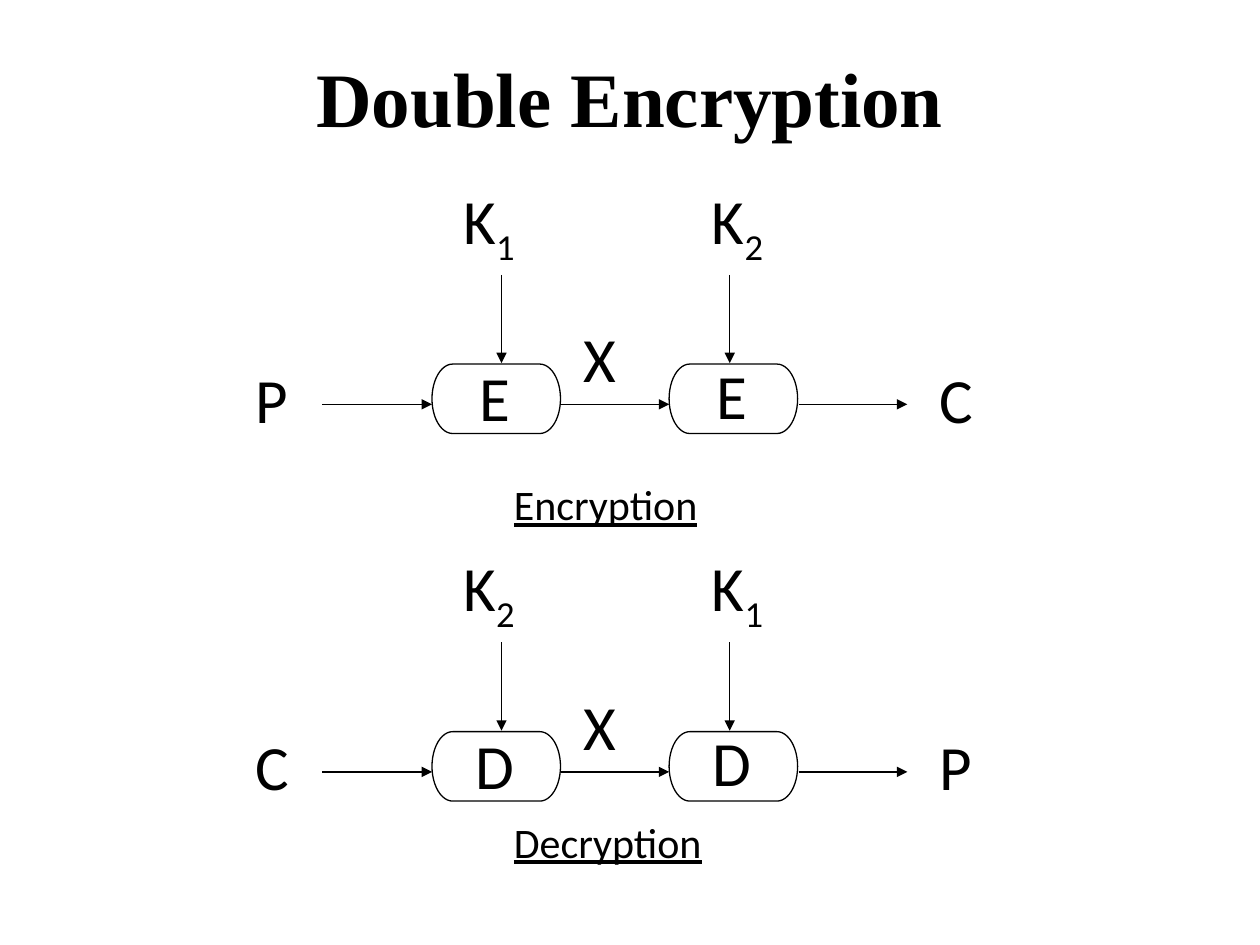
from dataclasses import dataclass

from lxml import etree
from pptx import Presentation
from pptx.dml.color import RGBColor
from pptx.enum.shapes import MSO_CONNECTOR as Connector
from pptx.enum.shapes import MSO_SHAPE as Shape
from pptx.enum.text import MSO_ANCHOR as Anchor
from pptx.enum.text import MSO_AUTO_SIZE as AutoSize
from pptx.enum.text import PP_ALIGN as Align
from pptx.oxml.ns import qn
from pptx.util import Cm, Pt


@dataclass(frozen=True)
class Theme:
    ink: RGBColor = RGBColor(0, 0, 0)
    paper: RGBColor = RGBColor(255, 255, 255)
    title_font: str = "Times New Roman"
    body_font: str = "Calibri"
    title_size: Pt = Pt(44)
    symbol_size: Pt = Pt(36)
    caption_size: Pt = Pt(24)
    line_width: Pt = Pt(0.75)


THEME = Theme()
TITLE = {"name": THEME.title_font, "size": THEME.title_size, "bold": True}
SYMBOL = {"name": THEME.body_font, "size": THEME.symbol_size}
CAPTION = {"name": THEME.body_font, "size": THEME.caption_size, "underline": True}

ROW_STEP = 7.41
BLOCK_LEFTS = (8.71, 13.49)
BLOCK_SIZE = (2.59, 1.4)
LETTER_OFFSETS = ((0.08, -0.05), (0.07, -0.1))
LABEL_SIZE = (2.21, 1.78)
FLOW_SPANS = ((6.5, 8.71), (11.3, 13.49), (16.1, 18.29))
KEY_ARROWS = (10.11, 14.71)
KEY_LEFTS = (9.09, 14.1)


def set_values(target, values):
    for name, value in values.items():
        setattr(target, name, value)


def add_run(paragraph, text, style):
    run = paragraph.add_run()
    run.text = text
    set_values(run.font, style)
    run.font.color.rgb = THEME.ink
    return run


def add_title(slide, text):
    title = slide.shapes.title
    set_values(title, {"left": Cm(1.27), "top": Cm(0.76),
                       "width": Cm(22.86), "height": Cm(2.36)})
    set_values(title.text_frame, {"auto_size": AutoSize.NONE,
                                  "vertical_anchor": Anchor.MIDDLE})
    paragraph = title.text_frame.paragraphs[0]
    paragraph.alignment = Align.CENTER
    add_run(paragraph, text, TITLE)


def add_label(slide, text, left, top, size=LABEL_SIZE, style=SYMBOL,
              subscript="", centred=False):
    shape = slide.shapes.add_textbox(Cm(left), Cm(top), *map(Cm, size))
    set_values(shape.text_frame, {
        "word_wrap": not centred,
        "auto_size": AutoSize.NONE if centred else AutoSize.SHAPE_TO_FIT_TEXT,
        "vertical_anchor": Anchor.MIDDLE if centred else Anchor.TOP,
    })
    paragraph = shape.text_frame.paragraphs[0]
    paragraph.alignment = Align.CENTER if centred else Align.LEFT
    add_run(paragraph, text, style)
    if subscript:
        run = add_run(paragraph, subscript, style)
        run.font._element.set("baseline", "-25000")


def add_block(slide, letter, left, top, letter_offset):
    shape = slide.shapes.add_shape(Shape.FLOWCHART_TERMINATOR,
                                   Cm(left), Cm(top), *map(Cm, BLOCK_SIZE))
    shape.shadow.inherit = False
    shape.fill.background()
    shape.line.color.rgb = THEME.ink
    shape.line.width = THEME.line_width
    across, down = letter_offset
    add_label(slide, letter, left + across, top + down, (2.39, 1.4), centred=True)


def add_arrow(slide, start, end):
    arrow = slide.shapes.add_connector(Connector.STRAIGHT,
                                       *map(Cm, (*start, *end)))
    arrow.line.color.rgb = THEME.ink
    arrow.line.width = THEME.line_width
    etree.SubElement(arrow.line._get_or_add_ln(), qn("a:tailEnd"), type="triangle")
    etree.SubElement(arrow._element.spPr, qn("a:effectLst"))


def add_cipher(slide, offset, source, result, letter, keys, caption, caption_top):
    for left, letter_offset in zip(BLOCK_LEFTS, LETTER_OFFSETS):
        add_block(slide, letter, left, 7.34 + offset, letter_offset)
    for start, end in FLOW_SPANS:
        add_arrow(slide, (start, 8.15 + offset), (end, 8.15 + offset))
    for text, left, top in ((source, 4.9, 7.14), ("X", 11.51, 6.32),
                            (result, 18.69, 7.14)):
        add_label(slide, text, left, top + offset)
    for key, left, centre in zip(keys, KEY_LEFTS, KEY_ARROWS):
        add_label(slide, "K", left, 3.53 + offset, subscript=key)
        add_arrow(slide, (centre, 5.54 + offset), (centre, 7.32 + offset))
    add_label(slide, caption, 10.11, caption_top, (4.6, 1.27), CAPTION)


def main():
    presentation = Presentation()
    presentation.slide_width = Cm(25.4)
    presentation.slide_height = Cm(19.05)
    slide = presentation.slides.add_slide(presentation.slide_layouts[5])
    slide.background.fill.solid()
    slide.background.fill.fore_color.rgb = THEME.paper
    add_title(slide, "Double Encryption")
    add_cipher(slide, 0, "P", "C", "E", "12", "Encryption", 9.53)
    add_cipher(slide, ROW_STEP, "C", "P", "D", "21", "Decryption", 16.33)
    presentation.save("out.pptx")


if __name__ == "__main__":
    main()
